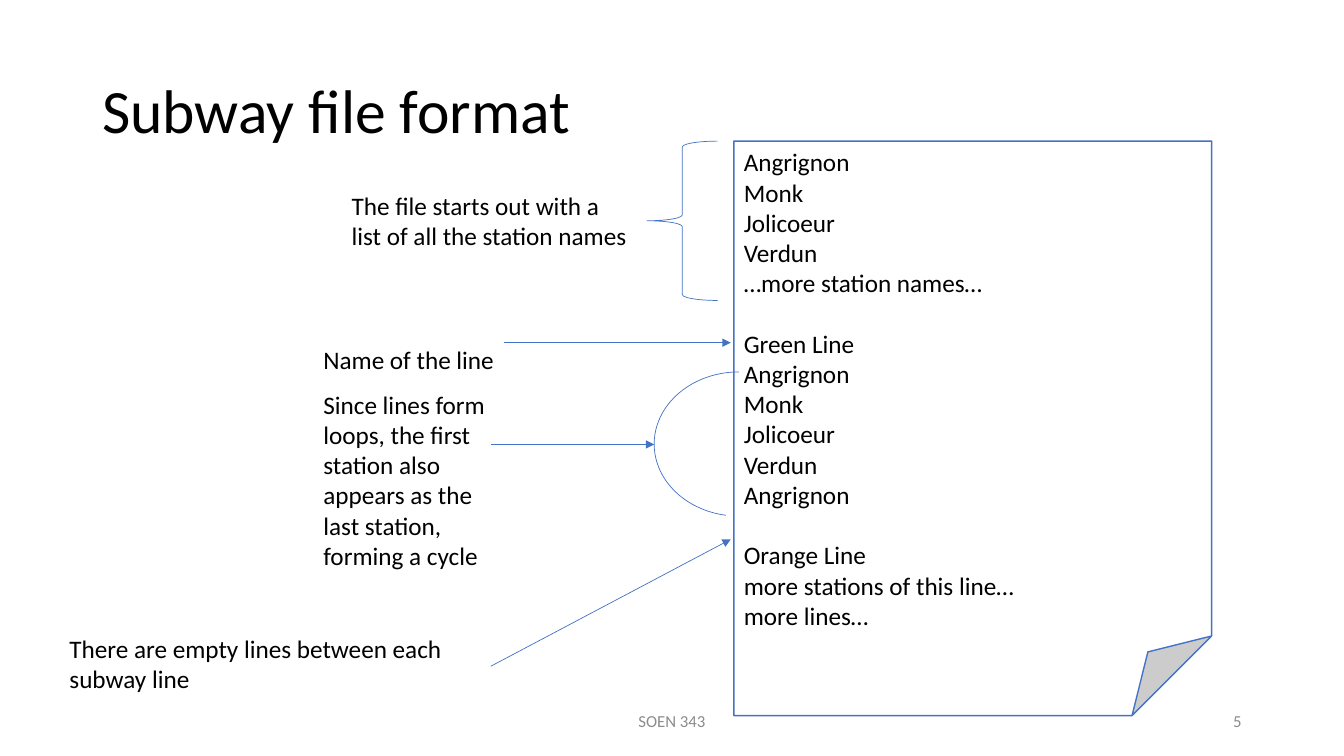
"""Builds the slide that explains the subway file format."""
import pptx
import pptx.dml.color
import pptx.enum.shapes
import pptx.enum.text
import pptx.oxml
import pptx.oxml.ns
import pptx.util
from lxml import etree

Pt = pptx.util.Pt
RGBColor = pptx.dml.color.RGBColor
SHAPE = pptx.enum.shapes.MSO_SHAPE
ALIGN = pptx.enum.text.PP_ALIGN
ANCHOR = pptx.enum.text.MSO_ANCHOR

BLACK = RGBColor(0x00, 0x00, 0x00)
WHITE = RGBColor(0xFF, 0xFF, 0xFF)
GRAY = RGBColor(0x8C, 0x8C, 0x8C)
BLUE = RGBColor(0x44, 0x72, 0xC4)

FILE_BLOCKS = [
    ["Angrignon", "Monk", "Jolicoeur", "Verdun", "…more station names…"],
    ["Green Line", "Angrignon", "Monk", "Jolicoeur", "Verdun", "Angrignon"],
    ["Orange Line", "more stations of this line…", "more lines…"],
]
NOTES = [
    ("The file starts out with a list of all the station names", 244.1, 132.5, 212.4, 51.1),
    ("Since lines form loops, the first station also appears as the last station, forming a cycle",
     223.9, 274.3, 148.3, 138.2),
    ("Name of the line", 223.9, 242.6, 148.3, 28.8),
    ("There are empty lines between each subway line", 42.5, 448.6, 315.4, 51.1),
]
ARROWS = [
    (360, 244.8, 522, 244.8),
    (350.6, 317.5, 467.3, 317.5),
    (350.6, 475.9, 522, 385.2),
]


def write(tf, text, size=18, color=BLACK, font="Calibri", align=ALIGN.LEFT,
          first=False, before=0, spacing=1.0):
    """Add one formatted paragraph to a text frame."""
    p = tf.paragraphs[0] if first else tf.add_paragraph()
    p.alignment = align
    p.line_spacing = spacing
    p.space_before = Pt(before)
    r = p.add_run()
    r.text = text
    r.font.size = Pt(size)
    r.font.name = font
    r.font.color.rgb = color


class Deck:
    """Holds the line style and the current slide."""

    def __init__(self, prs, line_color=BLUE):
        self.s = prs.slides.add_slide(prs.slide_layouts[6])
        self.line_color = line_color

    def text(self, text, x, y, w, h, anchor=ANCHOR.TOP, **fmt):
        sp = self.s.shapes.add_textbox(Pt(x), Pt(y), Pt(w), Pt(h))
        tf = sp.text_frame
        tf.word_wrap = True
        tf.vertical_anchor = anchor
        write(tf, text, first=True, **fmt)

    def shape(self, kind, x, y, w, h, fill=None, width=0.5, adjust=()):
        sp = self.s.shapes.add_shape(kind, Pt(x), Pt(y), Pt(w), Pt(h))
        sp.shadow.inherit = False
        if fill is None:
            sp.fill.background()
        else:
            sp.fill.solid()
            sp.fill.fore_color.rgb = fill
        sp.line.color.rgb = self.line_color
        sp.line.width = Pt(width)
        for i, value in enumerate(adjust):
            sp.adjustments[i] = value
        return sp

    def arrow(self, x1, y1, x2, y2):
        c = self.s.shapes.add_connector(
            pptx.enum.shapes.MSO_CONNECTOR.STRAIGHT, Pt(x1), Pt(y1), Pt(x2), Pt(y2))
        c.line.color.rgb = self.line_color
        c.line.width = Pt(0.5)
        qn = pptx.oxml.ns.qn
        etree.SubElement(c.line._get_or_add_ln(), qn("a:tailEnd"), type="triangle")
        etree.SubElement(c._element.spPr, qn("a:effectLst"))

    def page(self, blocks, x, y, w, h):
        tf = self.shape(SHAPE.FOLDED_CORNER, x, y, w, h, fill=WHITE, width=1).text_frame
        tf.word_wrap = True
        tf.vertical_anchor = ANCHOR.MIDDLE
        for b, block in enumerate(blocks):
            for i, line in enumerate(block):
                write(tf, line, first=b == i == 0, before=21.6 if b and i == 0 else 0)


def main():
    prs = pptx.Presentation()
    prs.slide_width, prs.slide_height = Pt(960), Pt(540)
    deck = Deck(prs)
    deck.text("Subway file format", 66, 28.8, 828, 104.4,
              anchor=ANCHOR.MIDDLE, size=44, spacing=0.9)
    deck.page(FILE_BLOCKS, 524.2, 100.8, 341.3, 410.4)
    deck.shape(SHAPE.LEFT_BRACE, 462.2, 100.8, 50.4, 113.8)
    deck.shape(SHAPE.ARC, 467.3, 265.7, 121, 103, adjust=(60.19, 162))
    for note in NOTES:
        deck.text(*note)
    for arrow in ARROWS:
        deck.arrow(*arrow)
    footer = dict(anchor=ANCHOR.MIDDLE, size=12, color=GRAY)
    deck.text("SOEN 343", 318, 500.4, 324, 28.8, align=ALIGN.CENTER, **footer)
    deck.text("5", 678, 500.4, 216, 28.8, align=ALIGN.RIGHT, **footer)
    prs.save("out.pptx")


if __name__ == "__main__":
    main()
